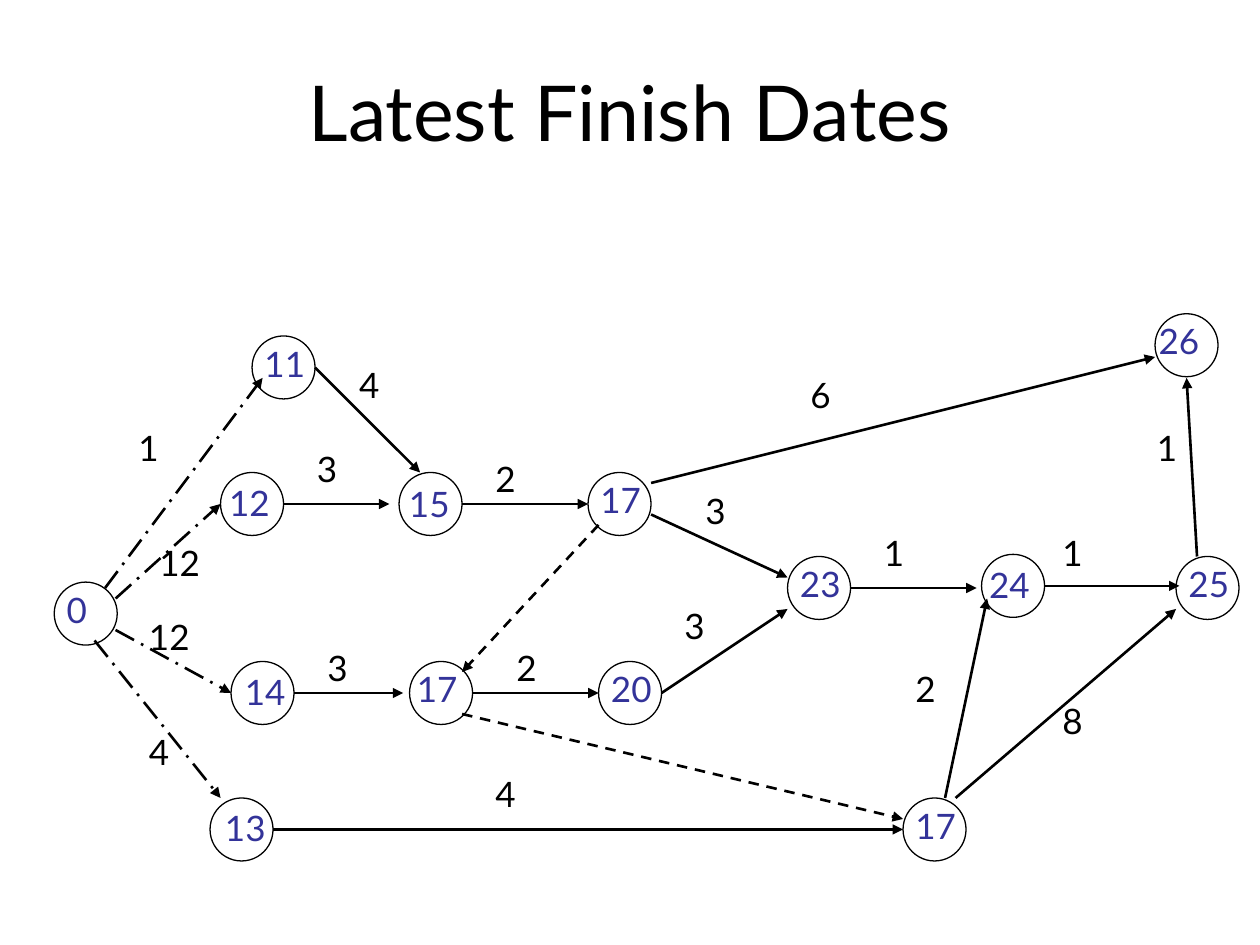
from collections import namedtuple

from lxml.etree import SubElement
from pptx import Presentation
from pptx.dml.color import RGBColor
from pptx.enum.dml import MSO_LINE
from pptx.enum.shapes import MSO_CONNECTOR, MSO_SHAPE
from pptx.enum.text import MSO_ANCHOR, PP_ALIGN
from pptx.oxml.ns import qn
from pptx.util import Cm, Pt

COLORS = {"ink": "000000", "date": "333399"}
FONT = "Lato"
GRID = 2.54 / 12
NODE_SIZE = 6
LABEL_HEIGHT = 5.28

Box = namedtuple("Box", "left top width height")
Node = namedtuple("Node", "date x y shift_x shift_y label_width")
Edge = namedtuple("Edge", "start end style duration label_x label_y label_width",
                  defaults=(None, 0, 0, 0))

SOLID, DASHED, FROM_START = MSO_LINE.SOLID, MSO_LINE.DASH, MSO_LINE.LONG_DASH_DOT

NODES = [
    Node("0", 0.16, 25.44, 0, 0, 6),
    Node("11", 19, 2, 0, 0, 7),
    Node("12", 16, 15, -0.36, 0.24, 8),
    Node("14", 17, 33, 0.12, 0.24, 8),
    Node("13", 15, 46, 0.24, 0.24, 11),
    Node("15", 33, 15, -0.24, 0.36, 9),
    Node("17", 51, 15, 0, 0, 11),
    Node("17", 34, 33, -0.48, 0, 11),
    Node("17", 81, 46, 0, 0, 11),
    Node("20", 52, 33, 0, 0, 11),
    Node("23", 70, 23, 0, 0, 11),
    Node("26", 105, -0.12, -0.84, 0, 8),
    Node("24", 88.48, 22.8, -0.48, 0.24, 8),
    Node("25", 107, 23, 0, 0, 8),
]

EDGES = [
    Edge((5, 26), (20, 6), FROM_START, "1", 7, 10, 5),
    Edge((6, 27), (16, 18), FROM_START, "12", 9, 21, 11),
    Edge((6, 30), (17, 36), FROM_START, "12", 8, 28, 14),
    Edge((4, 31), (16, 46), FROM_START, "4", 8, 39, 4),
    Edge((25, 5), (35, 15), SOLID, "4", 28, 4, 22),
    Edge((22, 18), (32.08, 18), SOLID, "3", 24, 12, 6),
    Edge((23, 36), (33.4, 36), SOLID, "3", 25, 31, 6),
    Edge((21, 49), (81, 49), SOLID, "4", 41, 43, 13),
    Edge((39, 18), (51, 18), SOLID, "2", 41, 13, 6),
    Edge((40, 36), (52, 36), SOLID, "2", 43, 31, 6),
    Edge((52, 20), (39, 34), DASHED),
    Edge((39, 38), (81, 48), DASHED),
    Edge((57, 16), (105, 4), SOLID, "6", 71, 5, 14),
    Edge((57, 19), (70, 25), SOLID, "3", 61, 16, 12),
    Edge((58, 36), (70, 28), SOLID, "3", 59, 27, 6),
    Edge((76, 26), (88, 26), SOLID, "1", 78, 20, 7),
    Edge((85, 46), (89, 27), SOLID, "2", 81, 33, 5),
    Edge((86, 46), (107, 28), SOLID, "8", 95, 36, 6),
    Edge((94.48, 25.8), (107.32, 25.8), SOLID, "1", 95, 20, 11),
    Edge((109, 23), (108, 6), SOLID, "1", 104, 10, 8),
]


def color(name):
    return RGBColor.from_string(COLORS[name])


def add_text(page, box, text, size=20, ink="ink", align=PP_ALIGN.LEFT, anchor=MSO_ANCHOR.TOP):
    frame = page.shapes.add_textbox(*map(Cm, box)).text_frame
    frame.word_wrap = True
    frame.vertical_anchor = anchor
    para = frame.paragraphs[0]
    para.alignment = align
    span = para.add_run()
    span.text = text
    span.font.name = FONT
    span.font.size = Pt(size)
    span.font.color.rgb = color(ink)


def add_title(page, box):
    add_text(page, box, "Latest Finish Dates", size=44,
             align=PP_ALIGN.CENTER, anchor=MSO_ANCHOR.MIDDLE)


def add_arrow(page, start, end, style):
    arrow = page.shapes.add_connector(MSO_CONNECTOR.STRAIGHT, *map(Cm, start + end))
    arrow.line.color.rgb = color("ink")
    arrow.line.width = Pt(1.5)
    arrow.line.dash_style = style
    SubElement(arrow.line._get_or_add_ln(), qn("a:tailEnd"), type="triangle")
    SubElement(arrow._element.spPr, qn("a:effectLst"))


def add_circle(page, box):
    circle = page.shapes.add_shape(MSO_SHAPE.OVAL, *map(Cm, box))
    circle.shadow.inherit = False
    circle.fill.background()
    circle.line.color.rgb = color("ink")
    circle.line.width = Pt(0.75)


def add_network(page, box):
    def place(x, y):
        return box.left + x * GRID, box.top + y * GRID

    def cell(x, y, width, height):
        return Box(*place(x, y), width * GRID, height * GRID)

    for edge in EDGES:
        add_arrow(page, place(*edge.start), place(*edge.end), edge.style)
    for node in NODES:
        add_circle(page, cell(node.x, node.y, NODE_SIZE, NODE_SIZE))
    for edge in EDGES:
        if edge.duration:
            add_text(page, cell(edge.label_x, edge.label_y, edge.label_width, LABEL_HEIGHT),
                     edge.duration)
    for node in NODES:
        add_text(page, cell(node.x + node.shift_x, node.y + node.shift_y,
                            node.label_width, LABEL_HEIGHT), node.date, ink="date")


def main():
    deck = Presentation()
    deck.slide_width, deck.slide_height = Cm(25.4), Cm(19.05)
    page = deck.slides.add_slide(deck.slide_layouts[6])
    add_title(page, Box(1.9, 0.64, 21.6, 3.18))
    add_network(page, Box(1.06, 6.35, 24.34, 11))
    deck.save("out.pptx")


if __name__ == "__main__":
    main()
